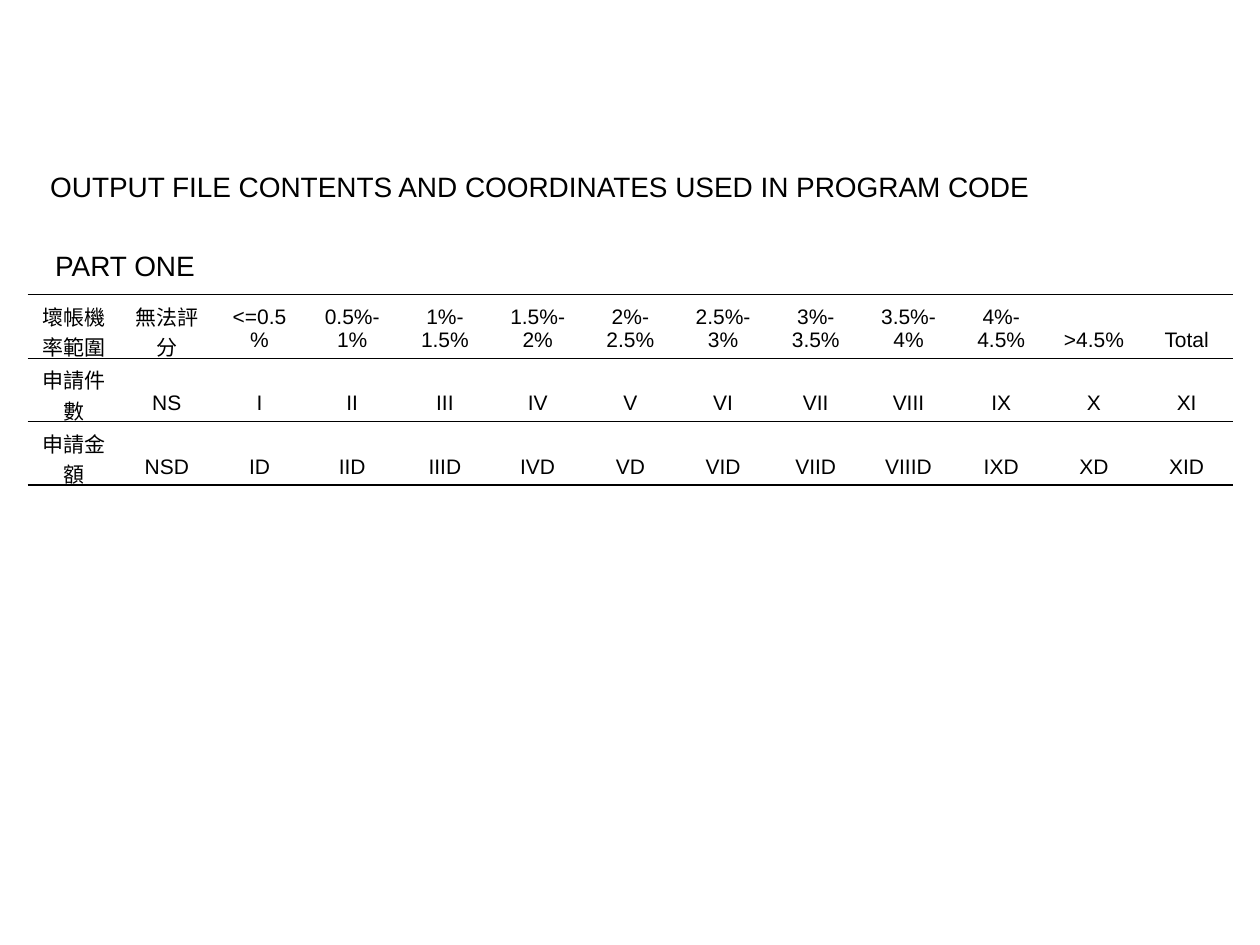
from lxml import etree
from pptx import Presentation
from pptx.dml.color import RGBColor
from pptx.enum.text import MSO_ANCHOR as Anchor, MSO_AUTO_SIZE as AutoSize, PP_ALIGN as Align
from pptx.oxml.ns import qn
from pptx.util import Inches, Pt

FONT = "Arial"
BLACK = "000000"
OUTER_RULE, INNER_RULE = Pt(0.75), Pt(0.34)
NO_STYLE_NO_GRID = "{2D5ABB26-0587-4C30-8999-92F81FD0307C}"

TITLE = "OUTPUT FILE CONTENTS AND COORDINATES USED IN PROGRAM CODE"
ROWS = [
    ["壞帳機率範圍", "無法評分", "<=0.5%", "0.5%-1%", "1%-1.5%", "1.5%-2%", "2%-2.5%",
     "2.5%-3%", "3%-3.5%", "3.5%-4%", "4%-4.5%", ">4.5%", "Total"],
    ["申請件數", "NS", "I", "II", "III", "IV", "V",
     "VI", "VII", "VIII", "IX", "X", "XI"],
    ["申請金額", "NSD", "ID", "IID", "IIID", "IVD", "VD",
     "VID", "VIID", "VIIID", "IXD", "XD", "XID"],
]


def color(hex_text):
    return RGBColor.from_string(hex_text)


def add_run(para, text, size):
    span = para.add_run()
    span.text = text
    span.font.name = FONT
    span.font.size = Pt(size)
    span.font.color.rgb = color(BLACK)


def add_heading(page, text, left, top, width, height, wrap):
    box = page.shapes.add_textbox(left, top, width, height)
    frame = box.text_frame
    frame.word_wrap = wrap
    frame.auto_size = AutoSize.SHAPE_TO_FIT_TEXT
    add_run(frame.paragraphs[0], text, 16)


def set_rules(cell, top_width, bottom_width):
    """Draw the top and bottom borders of a cell and hide the side ones."""
    properties = cell._tc.get_or_add_tcPr()
    widths = {"a:lnL": None, "a:lnR": None, "a:lnT": top_width, "a:lnB": bottom_width}
    for position, (tag, width) in enumerate(widths.items()):
        line = etree.Element(qn(tag))
        if width is None:
            etree.SubElement(line, qn("a:noFill"))
        else:
            line.set("w", str(width))
            fill = etree.SubElement(line, qn("a:solidFill"))
            etree.SubElement(fill, qn("a:srgbClr"), val=BLACK)
        properties.insert(position, line)


def add_range_table(page, rows, left, top, width, height):
    frame = page.shapes.add_table(len(rows), len(rows[0]), left, top, width, height)
    table = frame.table
    table.first_row = table.horz_banding = False
    table._tbl.tblPr.find(qn("a:tableStyleId")).text = NO_STYLE_NO_GRID
    last = len(rows) - 1
    for row_index, labels in enumerate(rows):
        for column_index, label in enumerate(labels):
            cell = table.cell(row_index, column_index)
            cell.fill.background()
            is_wide_header = row_index == 0 and column_index < 2
            cell.vertical_anchor = Anchor.MIDDLE if is_wide_header else Anchor.BOTTOM
            set_rules(cell,
                      OUTER_RULE if row_index == 0 else INNER_RULE,
                      OUTER_RULE if row_index == last else INNER_RULE)
            para = cell.text_frame.paragraphs[0]
            para.alignment = Align.CENTER
            add_run(para, label, 12)


def main():
    deck = Presentation()
    deck.slide_width, deck.slide_height = Inches(10), Inches(7.5)
    page = deck.slides.add_slide(deck.slide_layouts[6])
    add_heading(page, TITLE, Inches(0.3), Inches(1.3), Inches(9.29), Inches(0.37), True)
    add_heading(page, "PART ONE", Inches(0.34), Inches(1.92), Inches(1.33), Inches(0.37), False)
    add_range_table(page, ROWS, Inches(0.22), Inches(2.34), Inches(9.57), Inches(1.51))
    deck.save("out.pptx")


if __name__ == "__main__":
    main()
